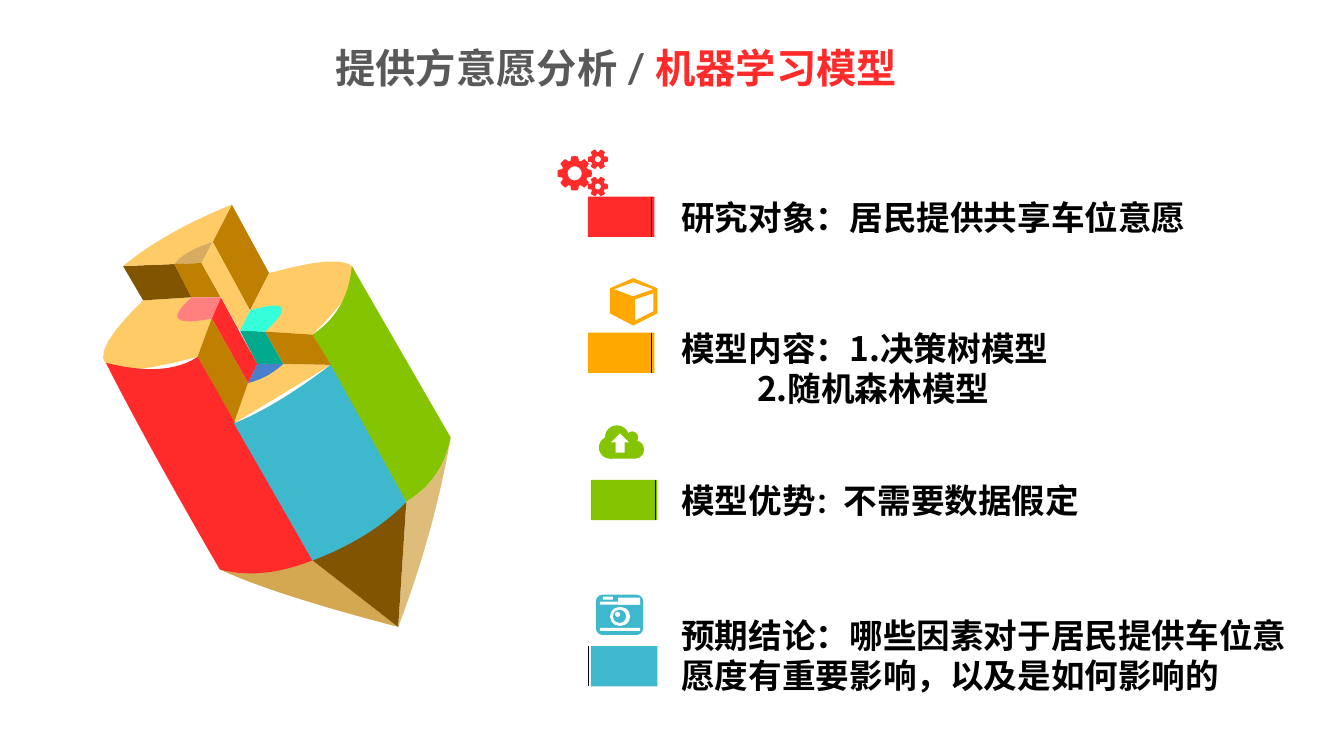
"""Build the slide on the machine learning model, with a pencil illustration and four labelled points."""
from math import cos, pi, sin

from lxml.etree import SubElement
from pptx import Presentation
from pptx.dml.color import RGBColor
from pptx.enum.shapes import MSO_CONNECTOR, MSO_SHAPE
from pptx.enum.text import MSO_ANCHOR, PP_ALIGN
from pptx.oxml.ns import qn
from pptx.util import Pt

PX = 9144
CURVE_STEPS = 12
TITLE_FONT = "Lato"
BODY_FONT = "Noto Sans CJK SC"
RED = RGBColor.from_string("FF2B2A")
ORANGE = RGBColor.from_string("FFA900")
GREEN = RGBColor.from_string("85C401")
TEAL = RGBColor.from_string("3EB8CD")
WOOD = RGBColor.from_string("BF7F00")
DARK_WOOD = RGBColor.from_string("805400")
LIGHT_WOOD = RGBColor.from_string("FFCB66")
SHADED_WOOD = RGBColor.from_string("D8AC60")
TIP_WOOD = RGBColor.from_string("D3A851")
PALE_WOOD = RGBColor.from_string("DEBC7A")
BLUE = RGBColor.from_string("4880CB")
SEA = RGBColor.from_string("01AA8D")
AQUA = RGBColor.from_string("35FEDB")
PINK = RGBColor.from_string("FF807F")
GREY = RGBColor.from_string("595959")
WHITE = RGBColor.from_string("FFFFFF")
BLACK = RGBColor.from_string("000000")

presentation = Presentation()
presentation.slide_width = 1333 * PX
presentation.slide_height = 750 * PX
slide = presentation.slides.add_slide(presentation.slide_layouts[5])
shapes = slide.shapes


def draw_outline(color, *contours):
    """Fill contours whose items are points or pairs of a curve's control and end point."""
    builder = None
    for contour in contours:
        points = []
        for item in contour:
            if not isinstance(item[0], tuple):
                points.append(item)
                continue
            start, (control, end) = points[-1], item
            for step in range(1, CURVE_STEPS + 1):
                t = step / CURVE_STEPS
                points.append(tuple((1 - t) ** 2 * a + 2 * t * (1 - t) * b + t * t * c
                                    for a, b, c in zip(start, control, end)))
        scaled = [(x * PX, y * PX) for x, y in points]
        if builder is None:
            builder = shapes.build_freeform(*scaled[0])
        else:
            builder.move_to(*scaled[0])
        builder.add_line_segments(scaled[1:], close=True)
    shape = builder.convert_to_shape()
    shape.shadow.inherit = False
    shape.fill.solid()
    shape.fill.fore_color.rgb = color
    shape.line.fill.background()


def add_preset(kind, color, left, top, width, height):
    """Add a preset shape with a plain fill."""
    shape = shapes.add_shape(kind, left * PX, top * PX, width * PX, height * PX)
    shape.shadow.inherit = False
    shape.fill.solid()
    shape.fill.fore_color.rgb = color
    shape.line.fill.background()


title = shapes.title
title.left, title.top, title.width, title.height = 92 * PX, 40 * PX, 1038 * PX, 60 * PX
title.text_frame.vertical_anchor = MSO_ANCHOR.MIDDLE
title_paragraph = title.text_frame.paragraphs[0]
title_paragraph.alignment = PP_ALIGN.CENTER
title_paragraph.line_spacing = 0.9
for text, color in (("提供方意愿分析 / ", GREY), ("机器学习模型", RED)):
    run = title_paragraph.add_run()
    run.text = text
    run.font.name = TITLE_FONT
    run.font.size = Pt(28.8)
    run.font.bold = True
    run.font.color.rgb = color

block_left, block_peak, block_right = (122, 264), (230, 203), (267, 271)
block_inner, block_notch, block_step = (211, 240), (173, 262), (200, 261)
block_foot, gap_left, gap_mid = (142, 298), (190, 295), (219, 295)
channel_top, channel_left, channel_right = (248, 308), (238, 328), (263, 329)
floor_left, floor_right, floor_near = (255, 361), (281, 361), (246, 380)
red_inner, red_front, red_left, red_bottom = (210, 316), (196, 354), (105, 360), (218, 565)
green_front, green_top, green_bottom = (310, 332), (349, 264), (447, 434)
teal_left, teal_right, teal_bottom, seam = (232, 420), (328, 362), (310, 556), (403, 498)
tip = (395, 622)
notch_curve = ((182, 249), block_notch)
seam_curve = ((440, 475), seam)

for color, contour in (
        (LIGHT_WOOD, [block_foot, gap_left, red_inner, red_front, ((41, 396), block_foot)]),
        (WOOD, [block_peak, block_right, channel_top, block_inner]),
        (DARK_WOOD, [block_notch, gap_left, block_foot, block_left]),
        (LIGHT_WOOD, [block_left, ((163, 230), block_peak), block_inner, notch_curve]),
        (SHADED_WOOD, [block_step, block_inner, notch_curve]),
        (WOOD, [block_notch, block_step, gap_mid, gap_left]),
        (LIGHT_WOOD, [block_step, block_inner, channel_top, channel_left]),
        (LIGHT_WOOD, [block_right, ((413, 230), green_front), channel_right, channel_top]),
        (GREEN, [green_top, green_bottom, seam_curve, green_front, ((345, 309), green_top)]),
        (LIGHT_WOOD, [floor_near, floor_right, teal_right, teal_left]),
        (BLUE, [floor_near, floor_left, floor_right, ((266, 375), floor_near)]),
        (SEA, [channel_left, channel_right, floor_right, floor_left]),
        (AQUA, [channel_top, ((303, 292), channel_right), channel_left]),
        (RED, [red_inner, gap_mid, floor_left, floor_near]),
        (PINK, [red_inner, ((154, 327), gap_left), gap_mid]),
        (WOOD, [red_inner, floor_near, teal_left, red_front]),
        (WOOD, [channel_right, green_front, teal_right, floor_right]),
        (PALE_WOOD, [tip, ((431, 527), green_bottom), seam_curve]),
        (TIP_WOOD, [red_bottom, teal_bottom, tip, ((272, 590), red_bottom)]),
        (DARK_WOOD, [teal_bottom, seam, tip]),
        (RED, [red_left, ((145, 439), red_bottom), ((259, 576), teal_bottom), red_front,
               ((165, 375), red_left)]),
        (TEAL, [teal_right, seam, ((368, 534), teal_bottom), teal_left, ((273, 404), teal_right)])):
    draw_outline(color, contour)

for center_x, center_y, outer, root, hole, teeth in (
        (593, 158, 10, 7, 3, 6), (570, 172, 17, 13, 7, 8), (593, 185, 10, 7, 3, 6)):
    contours = []
    for radii in (([outer] * 4 + [root] * 2) * teeth, [hole] * 24):
        angles = [2 * pi * (index - 1.5) / len(radii) for index in range(len(radii))]
        contours.append([(center_x + r * cos(a), center_y + r * sin(a)) for r, a in zip(radii, angles)])
    draw_outline(RED, *contours)

draw_outline(ORANGE,
             [(605, 286), (628, 276), (652, 286), (652, 311), (628, 323), (605, 311)],
             [(609, 287), (628, 280), (648, 287), (628, 294)],
             [(630, 297), (648, 291), (648, 309), (630, 318)])

OVAL, RECTANGLE, ROUNDED = MSO_SHAPE.OVAL, MSO_SHAPE.RECTANGLE, MSO_SHAPE.ROUNDED_RECTANGLE
for kind, color, left, top, width, height in (
        (OVAL, GREEN, 600, 422, 24, 24), (OVAL, GREEN, 621, 428, 12, 12),
        (OVAL, GREEN, 594, 433, 22, 22), (OVAL, GREEN, 621, 437, 18, 18),
        (RECTANGLE, GREEN, 605, 435, 25, 20), (MSO_SHAPE.UP_ARROW, WHITE, 606, 430, 18, 19),
        (ROUNDED, TEAL, 591, 590, 47, 40), (RECTANGLE, WHITE, 595, 623, 40, 3),
        (RECTANGLE, WHITE, 595, 597, 40, 3), (RECTANGLE, WHITE, 613, 593, 22, 7),
        (RECTANGLE, WHITE, 598, 592, 10, 3), (OVAL, WHITE, 605, 602, 20, 19),
        (OVAL, TEAL, 608, 605, 13, 13), (OVAL, WHITE, 610, 607, 5, 5)):
    add_preset(kind, color, left, top, width, height)

for color, tile_left, tile_top, rule_x, text_top, text_width, lines in (
        (RED, 583, 195, 646, 190, 550, [[("研究对象：居民提供共享车位意愿", 24)]]),
        (ORANGE, 583, 330, 646, 320, 448, [[("模型内容：1.决策树模型", 24)], [("2.随机森林模型", 24)]]),
        (GREEN, 586, 476, 650, 471, 494, [[("模型优势", 24), ("：", 20), ("不需要数据假定", 24)]]),
        (TEAL, 586, 641, 584, 605, 636,
         [[("预期结论：哪些因素对于居民提供车位意愿度有重要影响，以及是如何影响的", 24)]])):
    add_preset(RECTANGLE, color, tile_left, tile_top, 66, 40)
    rule = shapes.add_connector(MSO_CONNECTOR.STRAIGHT, rule_x * PX, tile_top * PX,
                                rule_x * PX, (tile_top + 40) * PX)
    rule.line.color.rgb = BLACK
    rule.line.width = Pt(0.5)
    SubElement(rule.element.spPr, qn("a:effectLst"))
    text_height = 50 if text_top in (190, 471) else 91
    text_box = shapes.add_textbox(666 * PX, text_top * PX, text_width * PX, text_height * PX)
    text_frame = text_box.text_frame
    text_frame.word_wrap = True
    for index, line in enumerate(lines):
        paragraph = text_frame.add_paragraph() if index else text_frame.paragraphs[0]
        if index:
            paragraph._p.get_or_add_pPr().set("marL", str(75 * PX))
        for text, size in line:
            run = paragraph.add_run()
            run.text = text
            run.font.name = BODY_FONT
            run.font.size = Pt(size)
            run.font.bold = True
            run.font.color.rgb = BLACK
            SubElement(run._r.get_or_add_rPr(), qn("a:ea")).set("typeface", BODY_FONT)

presentation.save("out.pptx")
